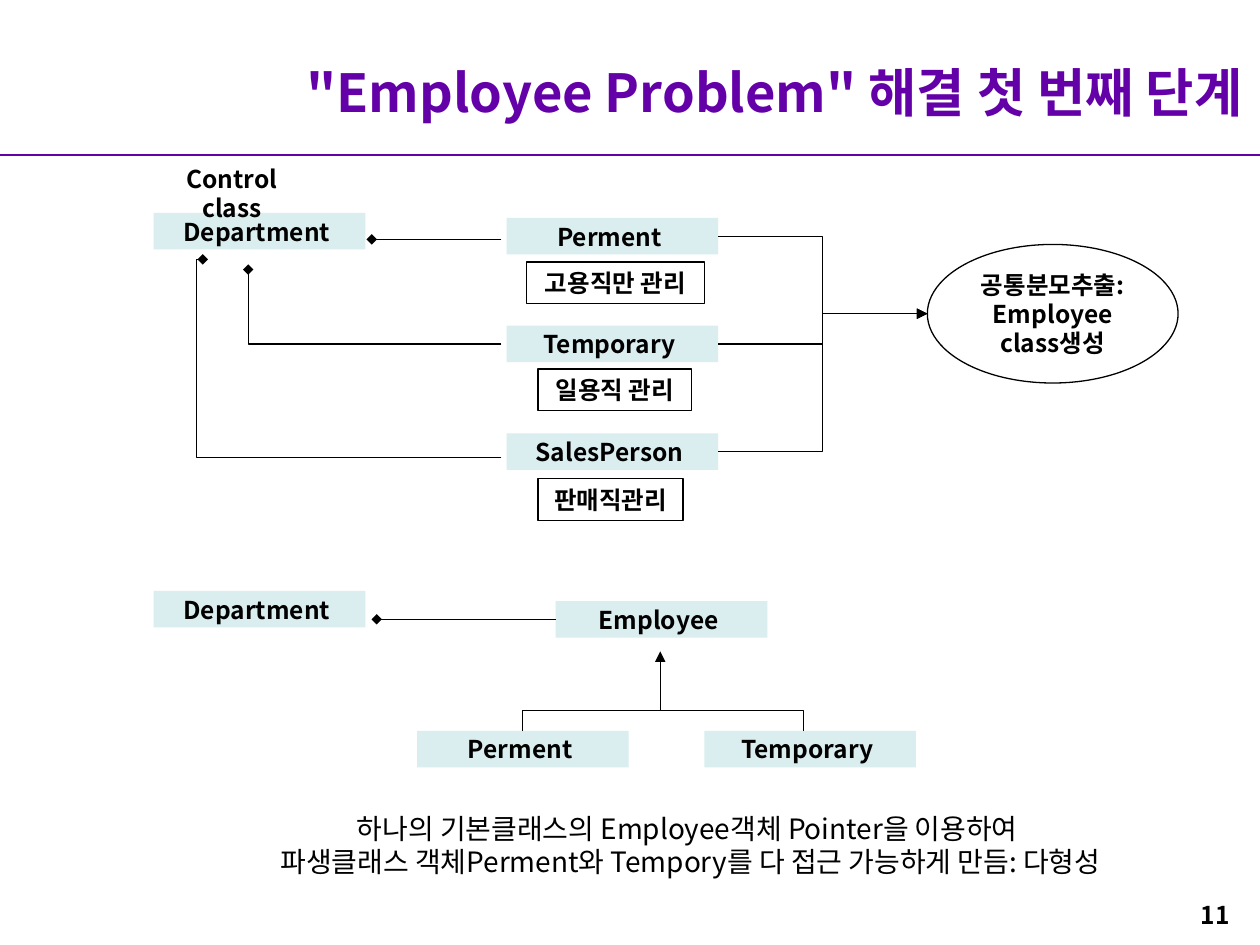
import pptx
import pptx.dml.color
import pptx.enum.shapes
import pptx.enum.text
import pptx.oxml
import pptx.oxml.ns
import pptx.util
from lxml import etree

COLORS = {"purple": "6400A8", "aqua": "DAEDEF", "black": "000000"}
FONT = "Noto Sans CJK KR"
COLUMNS, ROWS = 100, 75
CELL = pptx.util.Inches(10) // COLUMNS
BOX_WIDTH, BOX_HEIGHT = 16.8, 2.9
SHAPE = pptx.enum.shapes.MSO_SHAPE
CONNECTOR = pptx.enum.shapes.MSO_CONNECTOR
ALIGN = pptx.enum.text.PP_ALIGN
ANCHOR = pptx.enum.text.MSO_ANCHOR
LABEL = {"size": pptx.util.Pt(14), "bold": True}
TITLE = {"size": pptx.util.Pt(30), "bold": True}
BODY = {"size": pptx.util.Pt(16), "bold": False}


def cells(*counts):
    """Turn grid counts into lengths."""
    return [round(count * CELL) for count in counts]


def rgb(name):
    """Look up a named colour."""
    return pptx.dml.color.RGBColor.from_string(COLORS[name])


def apply(target, values):
    """Set every attribute given in a dict of format values."""
    for name, value in values.items():
        setattr(target, name, value)


def write(box, text, font=LABEL, color="black", align=ALIGN.CENTER, **frame):
    """Fill a box with one formatted paragraph per line of text."""
    apply(box.text_frame, {"word_wrap": False, **frame})
    box.text_frame.text = text
    for para in box.text_frame.paragraphs:
        para.alignment = align
        for span in para.runs:
            apply(span.font, {**font, "name": FONT})
            span.font.color.rgb = rgb(color)
            east_asian = etree.SubElement(span.font._element, pptx.oxml.ns.qn("a:ea"))
            east_asian.set("typeface", FONT)


def add_text(page, place, text, **style):
    """Add a plain text box."""
    box = page.shapes.add_textbox(*cells(*place))
    write(box, text, **style)


def stroke(item, color="black", weight=0.75):
    """Give a shape or connector a plain line."""
    item.line.color.rgb = rgb(color)
    item.line.width = pptx.util.Pt(weight)


def add_class(page, left, top, name):
    """Add a tinted class box."""
    box = page.shapes.add_shape(SHAPE.RECTANGLE, *cells(left, top, BOX_WIDTH, BOX_HEIGHT))
    box.shadow.inherit = False
    box.fill.solid()
    box.fill.fore_color.rgb = rgb("aqua")
    box.line.fill.background()
    write(box, name + " ", vertical_anchor=ANCHOR.MIDDLE)
    return box


def add_outline(page, kind, place, text, **style):
    """Add an unfilled shape with a thin outline."""
    box = page.shapes.add_shape(kind, *cells(*place))
    box.shadow.inherit = False
    box.fill.background()
    stroke(box)
    write(box, text, **style)


def add_line(page, start, end, tip=None, bend=None, color="black", weight=0.75):
    """Add a straight line, or an elbow when a bend share is given."""
    kind = CONNECTOR.STRAIGHT if bend is None else CONNECTOR.ELBOW
    line = page.shapes.add_connector(kind, *cells(*start, *end))
    stroke(line, color, weight)
    properties = line._element.spPr
    if bend is not None:
        geometry = properties.find(pptx.oxml.ns.qn("a:prstGeom"))
        values = geometry.find(pptx.oxml.ns.qn("a:avLst"))
        guide = etree.SubElement(values, pptx.oxml.ns.qn("a:gd"))
        guide.set("name", "adj1")
        guide.set("fmla", f"val {round(bend * 100000)}")
    if tip:
        outline = properties.find(pptx.oxml.ns.qn("a:ln"))
        etree.SubElement(outline, pptx.oxml.ns.qn("a:tailEnd")).set("type", tip)
    etree.SubElement(properties, pptx.oxml.ns.qn("a:effectLst"))
    return line


def add_bracket(page, left, right, top, bottom):
    """Add an open bracket that joins the two derived classes."""
    builder = page.shapes.build_freeform(*cells(left, bottom))
    corners = [(left, top), (right, top), (right, bottom)]
    builder.add_line_segments([cells(*corner) for corner in corners], close=False)
    bracket = builder.convert_to_shape()
    bracket.shadow.inherit = False
    bracket.fill.background()
    stroke(bracket)


def add_heading(page):
    """Add the title, its rule and the page number."""
    add_line(page, (0, 12.3), (COLUMNS, 12.3), color="purple", weight=1.5)
    add_text(page, (9.6, 2.8, 90, 8.9), '"Employee Problem" 해결 첫 번째 단계', font=TITLE,
             color="purple", align=ALIGN.RIGHT, word_wrap=True, vertical_anchor=ANCHOR.MIDDLE)
    add_text(page, (75.3, 70.9, 23.3, 5.2), "11", align=ALIGN.RIGHT, word_wrap=True)


def add_first_design(page):
    """Add the three managed classes and their shared base."""
    add_class(page, 12.2, 16.9, "Department")
    add_text(page, (13.8, 12.5, 13.8, 3.3), "Control class", word_wrap=True,
             margin_left=0, margin_right=cells(4.6)[0])
    first_top, pitch, left = 17.3, 8.55, 40.2
    staff = [
        ("Perment", "고용직만 관리", (41.8, 20.8, 14.1, 3.3)),
        ("Temporary", "일용직 관리", (42.7, 29.3, 12.2, 3.3)),
        ("SalesPerson", "판매직관리", (42.7, 38, 11.5, 3.3)),
    ]
    for index, (name, duty, place) in enumerate(staff):
        top = first_top + index * pitch
        add_class(page, left, top, name)
        add_outline(page, SHAPE.RECTANGLE, place, duty)
        middle = top + BOX_HEIGHT / 2
        add_line(page, (left + BOX_WIDTH, middle), (73.6, 24.9), "triangle", 0.5)
    add_outline(page, SHAPE.OVAL, (73.6, 19.4, 19.9, 11), "공통분모추출:\nEmployee class생성",
                word_wrap=True, vertical_anchor=ANCHOR.MIDDLE)
    add_line(page, (39.8, 19), (29.5, 19), "diamond")
    add_line(page, (39.8, 27.3), (19.7, 21.4), "diamond", 1)
    add_line(page, (39.8, 36.3), (16.1, 20.6), "diamond", 1.02)


def add_second_design(page):
    """Add the base class with its derived classes."""
    add_class(page, 12.2, 46.9, "Department")
    employee = add_class(page, 44.1, 47.7, "Employee")
    owner = add_line(page, (44.1, 49.15), (29.9, 49.15), "diamond")
    owner.begin_connect(employee, 1)
    for left, name in ((33.1, "Perment"), (55.9, "Temporary")):
        add_class(page, left, 58, name)
    add_line(page, (52.4, 56.4), (52.4, 51.7), "triangle")
    add_bracket(page, 41.5, 63.8, 56.4, 58)
    add_text(page, (18.3, 63.9, 73, 6.4),
             "하나의 기본클래스의 Employee객체 Pointer을 이용하여 \n"
             "파생클래스 객체Perment와 Tempory를 다 접근 가능하게 만듬: 다형성", font=BODY)


def main():
    """Build and save the deck."""
    deck = pptx.Presentation()
    apply(deck, {"slide_width": CELL * COLUMNS, "slide_height": CELL * ROWS})
    page = deck.slides.add_slide(deck.slide_layouts[6])
    add_heading(page)
    add_first_design(page)
    add_second_design(page)
    deck.save("out.pptx")


if __name__ == "__main__":
    main()
